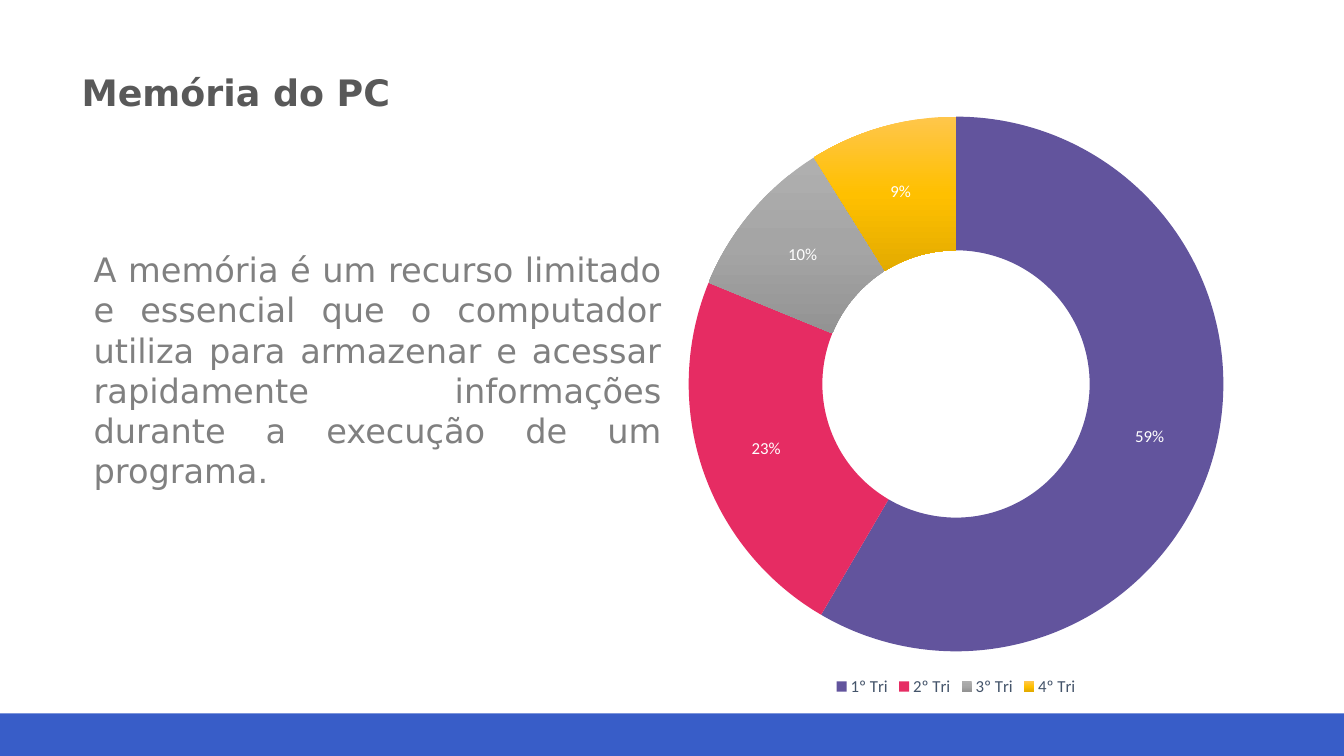
from lxml import etree
from pptx import Presentation
from pptx.chart.data import CategoryChartData
from pptx.dml.color import RGBColor
from pptx.enum.chart import XL_CHART_TYPE, XL_LEGEND_POSITION
from pptx.enum.shapes import MSO_SHAPE
from pptx.enum.text import MSO_ANCHOR, PP_ALIGN
from pptx.oxml.ns import qn
from pptx.util import Pt

RING = XL_CHART_TYPE.DOUGHNUT
BOTTOM = XL_LEGEND_POSITION.BOTTOM
RECT = MSO_SHAPE.RECTANGLE
TOP, MIDDLE = MSO_ANCHOR.TOP, MSO_ANCHOR.MIDDLE
LEFT, JUSTIFY = PP_ALIGN.LEFT, PP_ALIGN.JUSTIFY

THEME = {
    "font": "DejaVu Sans", "chart font": "Calibri",
    "title": "595959", "body": "808080", "bar": "385DC8",
    "legend": "44546A", "label": "FFFFFF",
    "slices": [["62549D"], ["E62C63"],
               ["AFAFAF", "A5A5A5", "939393"],
               ["FFC64B", "FFC000", "E3AB00"]],
    "title size": 26, "body size": 24, "chart size": 12,
}


def style(font, face, size, color):
    font.name = face
    font.size = Pt(size)
    font.color.rgb = RGBColor.from_string(color)


def add_text(slide, box, words, part, align, anchor):
    frame = slide.shapes.add_textbox(*map(Pt, box)).text_frame
    frame.word_wrap = True
    frame.vertical_anchor = anchor
    para = frame.paragraphs[0]
    para.alignment = align
    run = para.add_run()
    run.text = words
    style(run.font, THEME["font"], THEME[part + " size"], THEME[part])
    return para, run


prs = Presentation()
prs.slide_width, prs.slide_height = Pt(960), Pt(540)
slide = prs.slides.add_slide(prs.slide_layouts[6])

# Bottom bar
bar = slide.shapes.add_shape(RECT, Pt(0), Pt(509.5), Pt(960), Pt(30.5))
bar.shadow.inherit = False
bar.fill.solid()
bar.fill.fore_color.rgb = RGBColor.from_string(THEME["bar"])
bar.line.fill.background()

# Title and body
para, run = add_text(slide, (51.2, 49, 851, 36.7), "Memória do PC",
                     "title", LEFT, MIDDLE)
para.line_spacing = 0.9
run.font.bold = True
add_text(slide, (59.8, 174.2, 419.8, 198.7),
         "A memória é um recurso limitado e essencial que o computador "
         "utiliza para armazenar e acessar rapidamente informações "
         "durante a execução de um programa.", "body", JUSTIFY, TOP)

# Ring chart
data = CategoryChartData()
data.categories = ["1º Tri", "2º Tri", "3º Tri", "4º Tri"]
data.add_series("Series 1", [59, 23, 10, 9])
chart = slide.shapes.add_chart(RING, Pt(362.9), Pt(73.4), Pt(640), Pt(427),
                               data).chart
chart.has_title = False
chart.font.name = THEME["chart font"]
chart.font.size = Pt(10)
chart.has_legend = True
chart.legend.position = BOTTOM
chart.legend.include_in_layout = False
style(chart.legend.font, THEME["chart font"], THEME["chart size"],
      THEME["legend"])
plot = chart.plots[0]
plot.vary_by_categories = True
ring = plot.series[0]
for hole in chart.element.iter(qn("c:holeSize")):
    hole.set("val", "75")

# Slice colours, plain or shaded from top to bottom
for i, tones in enumerate(THEME["slices"]):
    form = ring.points[i].format
    form.line.fill.background()
    if len(tones) == 1:
        form.fill.solid()
        form.fill.fore_color.rgb = RGBColor.from_string(tones[0])
        continue
    form.fill.gradient()
    form.fill.gradient_angle = 270
    stops = list(chart.element.iter(qn("a:gsLst")))[-1]
    for stop in list(stops):
        stops.remove(stop)
    for j, tone in enumerate(tones):
        stop = etree.SubElement(stops, qn("a:gs"), pos=str(j * 50000))
        etree.SubElement(stop, qn("a:srgbClr"), val=tone)

# Slice labels
labels = ring.data_labels
labels.show_value = True
labels.number_format = '0"%"'
labels.number_format_is_linked = False
style(labels.font, THEME["chart font"], THEME["chart size"], THEME["label"])

prs.save("out.pptx")
